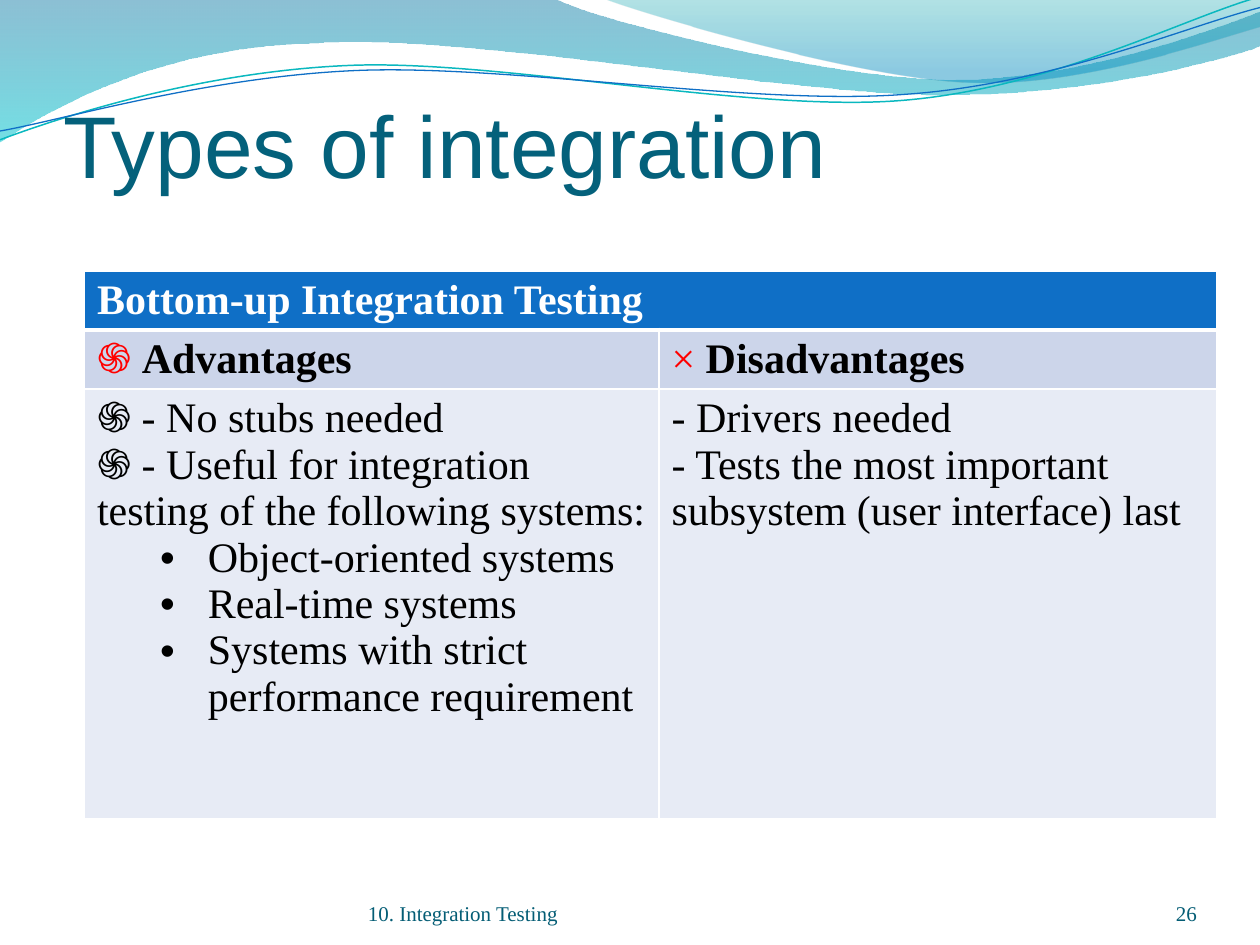
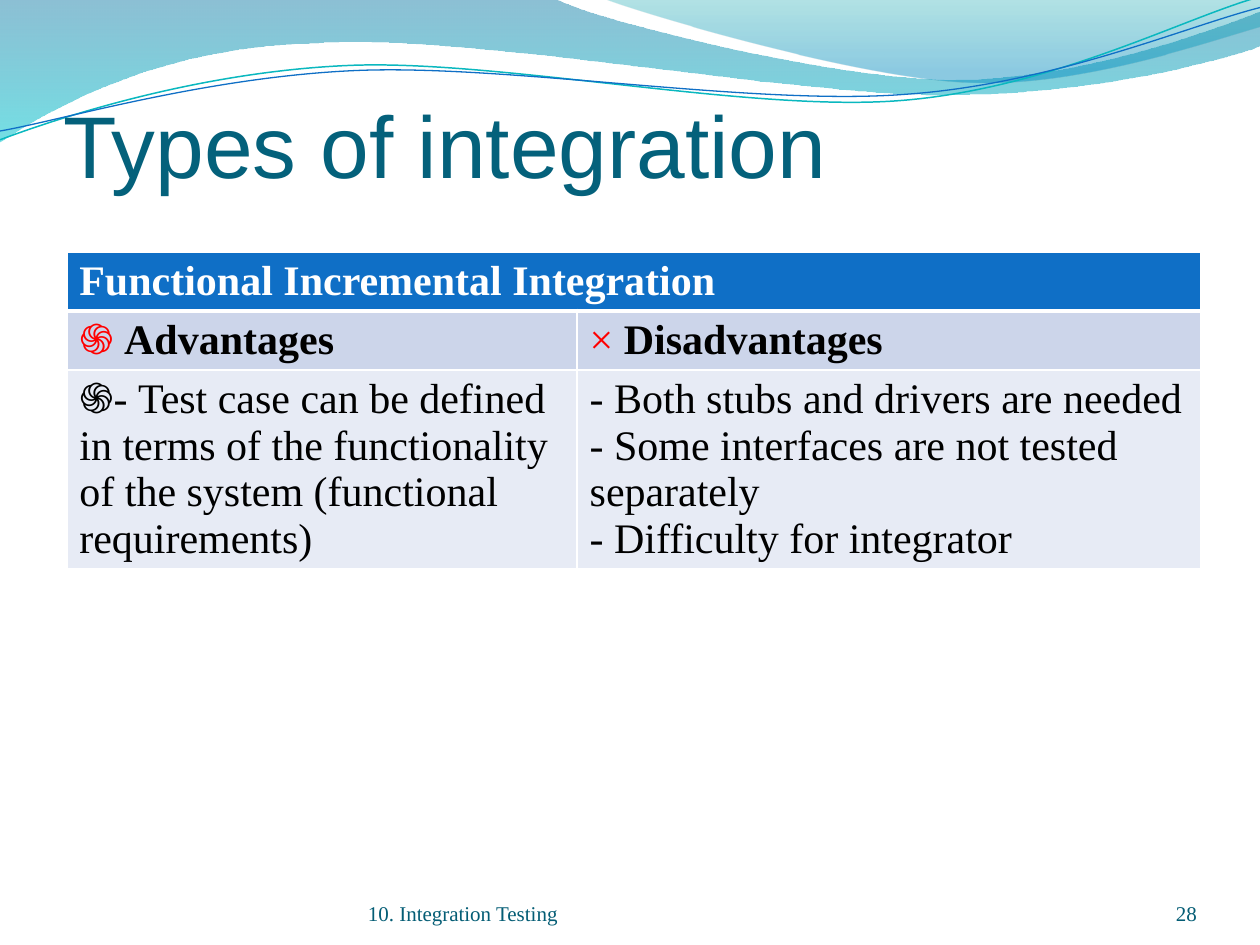
from itertools import product

from lxml import etree
from pptx import Presentation
from pptx import util as u
from pptx.dml.color import RGBColor
from pptx.enum import text
from pptx.oxml import ns

COLORS = {
    "title": "04617B", "footer": "045D75", "header": "0F6FC6",
    "subheader": "CCD5EA", "body": "E7EBF5", "white": "FFFFFF",
    "black": "000000", "mark": "FF0000", "teal": "0AB8BF",
    "band_top": "0074A1", "band_bottom": "00C6CF",
    "crest_top": "00A1A9", "crest_bottom": "008BBF",
}
SERIF = "Times New Roman"
TITLE = "Types of integration"
FOOTER = "10. Integration Testing"
ROW_HEIGHT = 0.41
BULLET = "•"

BAND = [(0, 0), [(4.4, -0.01)],
        [(4.76, 0.17), (6.64, 0.63), (7.58, 0.63)],
        [(8.53, 0.63), (9.58, 0.26), (10, 0.09)], [(10.01, 0.36)],
        [(9.83, 0.44), (8.7, 0.76), (7.46, 0.75)],
        [(6.22, 0.75), (3.82, 0.28), (2.57, 0.34)],
        [(1.29, 0.36), (0.46, 0.83), (-0.01, 1.13)]]
CREST = [(4.79, -0.01),
         [(5.09, 0.11), (6.82, 0.62), (7.69, 0.65)],
         [(8.56, 0.69), (9.61, 0.32), (10, 0.21)], [(10, 0)]]
TEAL_WAVE = [(0, 1.11),
             [(0.48, 0.93), (1.58, 0.57), (2.77, 0.52)],
             [(3.95, 0.47), (5.93, 0.89), (7.13, 0.8)],
             [(8.33, 0.71), (9.38, 0.15), (9.98, -0.02)]]
BLUE_WAVE = [(0, 1.04),
             [(0.47, 0.96), (1.64, 0.61), (2.83, 0.56)],
             [(4.03, 0.51), (5.97, 0.84), (7.17, 0.75)],
             [(8.36, 0.67), (9.41, 0.21), (10, 0.06)]]

SLIDES = [
    {"number": "26", "place": (0.67, 2.15), "columns": (4.56, 4.43),
     "body_height": 3.41, "heading": "Bottom-up Integration Testing",
     "advantages": ["֍ - No stubs needed",
                    "֍ - Useful for integration testing of the following systems:",
                    "•Object-oriented systems", "•Real-time systems",
                    "•Systems with strict performance requirement"],
     "disadvantages": ["- Drivers needed",
                       "- Tests the most important subsystem (user interface) last"]},
    {"number": "28", "place": (0.53, 2), "columns": (4.05, 4.95),
     "body_height": 1.57, "heading": "Functional Incremental Integration",
     "advantages": ["֍- Test case can be defined in terms of the functionality "
                    "of the system (functional requirements)"],
     "disadvantages": ["- Both stubs and drivers are needed",
                       "- Some interfaces are not tested separately",
                       "- Difficulty for integrator"]},
]


def rgb(name):
    return RGBColor.from_string(COLORS[name])


def set_attributes(target, values):
    for name, value in values.items():
        setattr(target, name, value)


def add_run(paragraph, words, color, size, font=SERIF, bold=False):
    run = paragraph.add_run()
    run.text = words
    set_attributes(run.font, {"name": font, "size": u.Pt(size), "bold": bold})
    run.font.color.rgb = rgb(color)


def curve_segments(shape, segments):
    lines = iter(list(shape.element.iter(ns.qn("a:lnTo"))))
    for segment in segments:
        nodes = [next(lines) for _ in segment]
        if len(nodes) == 3:
            curve = etree.Element(ns.qn("a:cubicBezTo"))
            nodes[0].addprevious(curve)
            for node in nodes:
                curve.append(node[0])
                node.getparent().remove(node)


def add_outline(slide, outline, close):
    start, *segments = outline
    to_emu = lambda point: tuple(u.Inches(value) for value in point)
    builder = slide.shapes.build_freeform(*to_emu(start))
    builder.add_line_segments(
        [to_emu(point) for segment in segments for point in segment], close)
    shape = builder.convert_to_shape()
    shape.shadow.inherit = False
    curve_segments(shape, segments)
    return shape


def add_gradient_band(slide, outline, stops):
    shape = add_outline(slide, outline, True)
    shape.line.fill.background()
    shape.fill.gradient()
    shape.fill.gradient_angle = 270
    for stop, (position, color, _) in zip(shape.fill.gradient_stops, stops):
        stop.position = position
        stop.color.rgb = rgb(color)
    for node, (_, _, opacity) in zip(shape.element.iter(ns.qn("a:srgbClr")), stops):
        etree.SubElement(node, ns.qn("a:alpha"), val=str(opacity * 1000))
    return shape


def add_wave_line(slide, outline, color, width):
    shape = add_outline(slide, outline, False)
    shape.fill.background()
    shape.line.color.rgb = rgb(color)
    shape.line.width = u.Pt(width)
    return shape


def add_waves_to_layout(slide):
    waves = [
        add_gradient_band(slide, BAND, [(0, "band_top", 45), (1, "band_bottom", 55)]),
        add_gradient_band(slide, CREST, [(0, "crest_top", 30), (0.8, "crest_bottom", 45)]),
        add_wave_line(slide, TEAL_WAVE, "teal", 0.85),
        add_wave_line(slide, BLUE_WAVE, "header", 0.75),
    ]
    for wave in waves:
        slide.slide_layout.shapes.element.append(wave.element)


def format_frame(frame, top_inset=0):
    set_attributes(frame, {
        "word_wrap": True, "auto_size": text.MSO_AUTO_SIZE.NONE,
        "vertical_anchor": text.MSO_ANCHOR.BOTTOM,
        "margin_left": 0, "margin_right": 0, "margin_bottom": 0,
        "margin_top": u.Inches(top_inset)})


def add_title(slide):
    title = slide.shapes.title
    set_attributes(title, {"left": u.Inches(0.5), "top": u.Inches(0.66),
                           "width": u.Inches(9), "height": u.Inches(0.9)})
    format_frame(title.text_frame, 0.05)
    paragraph = title.text_frame.paragraphs[0]
    paragraph.alignment = text.PP_ALIGN.LEFT
    add_run(paragraph, TITLE, "title", 50, "Arial")


def add_footer(slide, words, left, width, alignment):
    box = slide.shapes.add_textbox(u.Inches(left), u.Inches(6.95),
                                   u.Inches(width), u.Inches(0.4))
    format_frame(box.text_frame)
    paragraph = box.text_frame.paragraphs[0]
    paragraph.alignment = alignment
    add_run(paragraph, words, "footer", 12)


def set_bullet(paragraph):
    paragraph.level = 1
    properties = paragraph._p.get_or_add_pPr()
    properties.set("marL", str(u.Inches(0.88)))
    properties.set("indent", str(u.Inches(-0.38)))
    etree.SubElement(properties, ns.qn("a:buFont"), typeface="Arial")
    etree.SubElement(properties, ns.qn("a:buChar"), char=BULLET)


def set_borders(cell, widths):
    properties = cell._tc.get_or_add_tcPr()
    for index, (side, width) in enumerate(zip("LRTB", widths)):
        line = etree.Element(ns.qn(f"a:ln{side}"), w=str(u.Pt(width)))
        fill = etree.SubElement(line, ns.qn("a:solidFill"))
        etree.SubElement(fill, ns.qn("a:srgbClr"), val=COLORS["white"])
        properties.insert(index, line)


def fill_body_cell(cell, lines):
    frame = cell.text_frame
    for index, line in enumerate(lines):
        paragraph = frame.add_paragraph() if index else frame.paragraphs[0]
        if line.startswith(BULLET):
            set_bullet(paragraph)
        add_run(paragraph, line.removeprefix(BULLET), "black", 24)


def add_comparison_table(slide, content):
    heights = (ROW_HEIGHT, ROW_HEIGHT, content["body_height"])
    left, top = content["place"]
    table = slide.shapes.add_table(
        3, 2, u.Inches(left), u.Inches(top),
        u.Inches(sum(content["columns"])), u.Inches(sum(heights))).table
    for column, width in zip(table.columns, content["columns"]):
        column.width = u.Inches(width)
    for row, height in zip(table.rows, heights):
        row.height = u.Inches(height)
    row_styles = (("header", 1, 3), ("subheader", 3, 1), ("body", 1, 1))
    for (row, (fill, above, below)), column in product(enumerate(row_styles), range(2)):
        cell = table.cell(row, column)
        cell.fill.solid()
        cell.fill.fore_color.rgb = rgb(fill)
        set_borders(cell, (1, 1, above, below))

    heading = table.cell(0, 0)
    heading.merge(table.cell(0, 1))
    add_run(heading.text_frame.paragraphs[0], content["heading"], "white", 24, bold=True)
    sides = (("֍ ", "Advantages"), ("× ", "Disadvantages"))
    for column, (mark, label) in enumerate(sides):
        paragraph = table.cell(1, column).text_frame.paragraphs[0]
        add_run(paragraph, mark, "mark", 24)
        add_run(paragraph, label, "black", 24, bold=True)
        fill_body_cell(table.cell(2, column), content[label.lower()])


def main():
    presentation = Presentation()
    presentation.slide_width = u.Inches(10)
    presentation.slide_height = u.Inches(7.5)
    title_only = presentation.slide_layouts[5]
    for index, content in enumerate(SLIDES):
        slide = presentation.slides.add_slide(title_only)
        if index == 0:
            add_waves_to_layout(slide)
        add_title(slide)
        add_comparison_table(slide, content)
        add_footer(slide, FOOTER, 2.92, 3.67, text.PP_ALIGN.LEFT)
        add_footer(slide, content["number"], 8.67, 0.83, text.PP_ALIGN.RIGHT)
    presentation.save("out.pptx")


if __name__ == "__main__":
    main()
